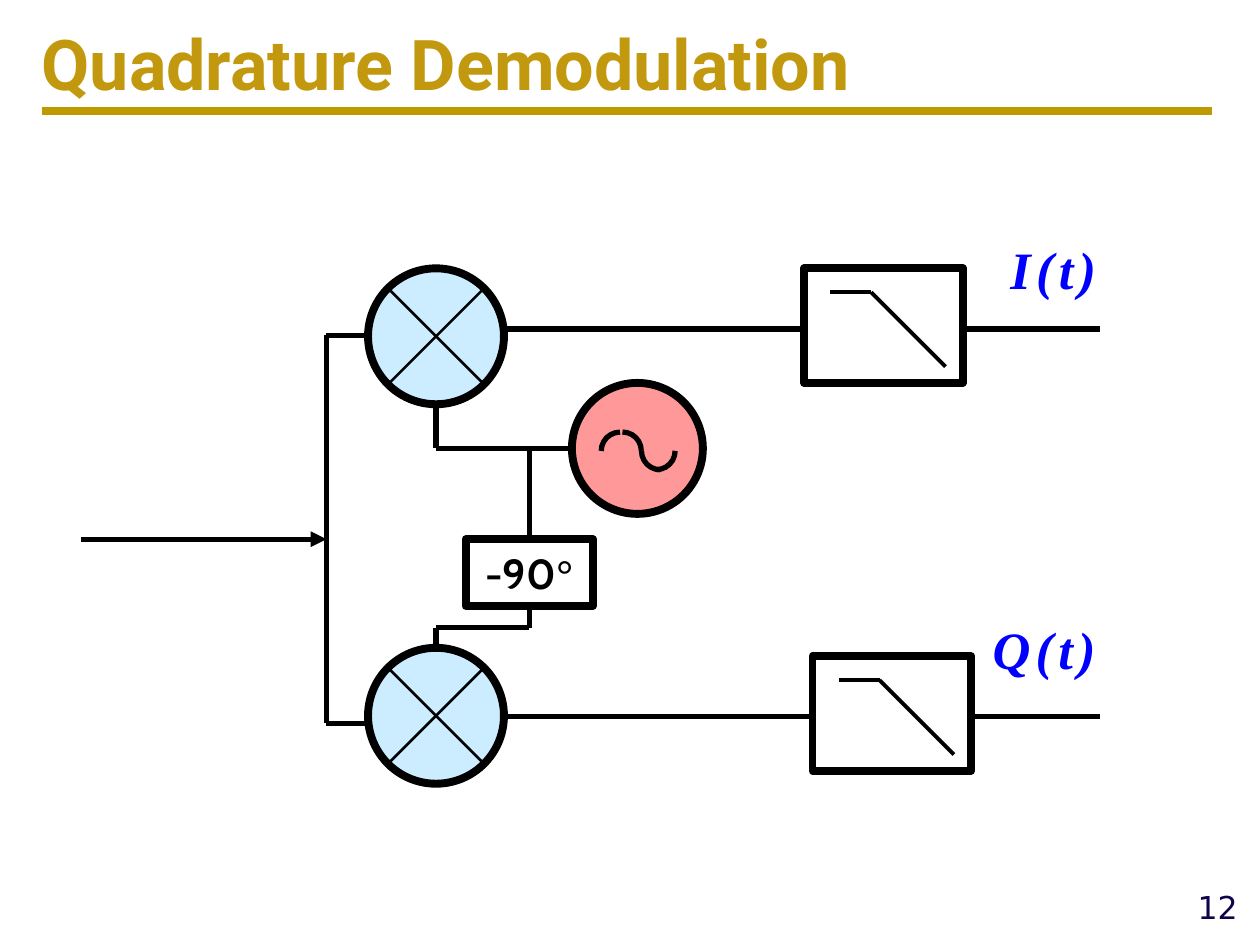
from typing import NamedTuple, Optional

from lxml.etree import SubElement
from pptx import Presentation
from pptx.dml.color import RGBColor
from pptx.enum.shapes import MSO_CONNECTOR, MSO_SHAPE
from pptx.enum.text import MSO_ANCHOR, PP_ALIGN
from pptx.oxml.ns import qn
from pptx.util import Cm, Pt

BLACK = RGBColor(0x00, 0x00, 0x00)
WHITE = RGBColor(0xFF, 0xFF, 0xFF)
GOLD = RGBColor(0xBF, 0x99, 0x00)
OCHRE = RGBColor(0xC2, 0x99, 0x0E)
NAVY = RGBColor(0x10, 0x03, 0x4C)
BLUE = RGBColor(0x00, 0x00, 0xFF)
SKY = RGBColor(0xCC, 0xEC, 0xFF)
PINK = RGBColor(0xFF, 0x99, 0x99)

THICK, WIRE, THIN, CROSS = 4.5, 3, 2.25, 1.5


class Spot(NamedTuple):
    left: float
    top: float


class Box(NamedTuple):
    left: float
    top: float
    width: float
    height: float


class Wire(NamedTuple):
    x1: float
    y1: float
    x2: float
    y2: float


class Label(NamedTuple):
    text: str
    box: Box
    size: float
    font: str
    color: RGBColor
    bold: bool = False
    italic: bool = False
    wrap: bool = True
    track: int = 0  # hundredths of a point
    align: PP_ALIGN = PP_ALIGN.LEFT


class Arc(NamedTuple):
    left: float
    turn: int


MIXERS = [Spot(7.42, 5.41), Spot(7.42, 13.06)]
FILTERS = [Spot(16.21, 5.41), Spot(16.38, 13.23)]
ARCS = [Arc(12.17, 0), Arc(12.12, 270), Arc(12.93, 180), Arc(12.85, 90)]

# Rows and columns that the wires share
TOP, LOW = 6.63, 14.45
SPLIT, STEM, TAP = 6.58, 8.79, 10.67
LO, BEND, END = 9.04, 12.65, 22.17
PHASE = Box(9.39, 10.87, 2.56, 1.35)

WIRES = [
    Wire(SPLIT, 6.76, 7.39, 6.76),
    Wire(SPLIT, 14.58, 7.39, 14.58),
    Wire(SPLIT, 6.76, SPLIT, 14.58),
    Wire(10.16, TOP, 16.21, TOP),
    Wire(10.16, LOW, 16.38, LOW),
    Wire(19.41, TOP, END, TOP),
    Wire(19.58, LOW, END, LOW),
    Wire(STEM, 8.15, STEM, LO),
    Wire(STEM, LO, 11.53, LO),
    Wire(STEM, BEND, STEM, 13.06),
    Wire(STEM, BEND, TAP, BEND),
]

LABELS = [
    Label("12", Box(21.59, 17.78, 3.61, 1.02), 18, "DejaVu Sans", NAVY,
          align=PP_ALIGN.RIGHT),
    Label("I(t)", Box(20.12, 4.65, 2.36, 1.55), 30, "Times New Roman", BLUE,
          bold=True, italic=True, wrap=False, track=300),
    Label("Q(t)", Box(19.76, 12.32, 2.72, 1.55), 30, "Times New Roman", BLUE,
          bold=True, italic=True, wrap=False, track=300),
]
TITLE = Label("Quadrature Demodulation", Box(0.84, 0, 20.7, 2.54), 40,
              "Roboto", OCHRE, bold=True)


def draw_wire(shapes, wire: Wire, weight: float = WIRE,
              color: RGBColor = BLACK):
    line = shapes.add_connector(MSO_CONNECTOR.STRAIGHT,
                                *(Cm(value) for value in wire))
    line.line.color.rgb = color
    line.line.width = Pt(weight)
    SubElement(line._element.spPr, qn("a:effectLst"))
    return line


def draw_shape(shapes, kind: MSO_SHAPE, box: Box, fill: Optional[RGBColor],
               weight: float = THICK):
    shape = shapes.add_shape(kind, *(Cm(value) for value in box))
    shape.shadow.inherit = False
    if fill is None:
        shape.fill.background()
    else:
        shape.fill.solid()
        shape.fill.fore_color.rgb = fill
    shape.line.color.rgb = BLACK
    shape.line.width = Pt(weight)
    return shape


def draw_label(shapes, label: Label):
    box = shapes.add_textbox(*(Cm(value) for value in label.box))
    frame = box.text_frame
    frame.word_wrap = label.wrap
    frame.text = label.text
    para = frame.paragraphs[0]
    para.alignment = label.align
    run = para.runs[0]
    style(run, label.size, label.font, label.color, label.bold)
    run.font.italic = label.italic
    if label.track:
        run.font._element.set("spc", str(label.track))
    return box


def style(run, size: float, name: str, color: RGBColor, bold: bool) -> None:
    run.font.size = Pt(size)
    run.font.name = name
    run.font.color.rgb = color
    run.font.bold = bold


def draw_mixer(shapes, spot: Spot) -> None:
    """Draw a circle with a cross inside it."""
    size, inset = 2.74, 0.39
    group = shapes.add_group_shape().shapes
    draw_shape(group, MSO_SHAPE.OVAL, Box(*spot, size, size), SKY)
    left, top = spot.left + inset, spot.top + inset
    right, base = spot.left + size - inset, spot.top + size - inset
    draw_wire(group, Wire(right, top, left, base), CROSS)
    draw_wire(group, Wire(left, top, right, base), CROSS)


def draw_filter(shapes, spot: Spot) -> None:
    """Draw a box with a low-pass curve inside it."""
    group = shapes.add_group_shape().shapes
    draw_shape(group, MSO_SHAPE.RECTANGLE, Box(*spot, 3.2, 2.31), WHITE)
    knee, level = spot.left + 1.35, spot.top + 0.48
    draw_wire(group, Wire(spot.left + 0.53, level, knee, level), THIN)
    draw_wire(group, Wire(knee, level, knee + 1.5, level + 1.5), THIN)


def draw_source(shapes) -> None:
    """Draw the oscillator: a circle with a sine made of quarter arcs."""
    group = shapes.add_group_shape().shapes
    draw_shape(group, MSO_SHAPE.OVAL, Box(11.53, 7.72, 2.64, 2.64), PINK)
    for arc in ARCS:
        part = draw_shape(group, MSO_SHAPE.ARC,
                          Box(arc.left, 8.71, 0.76, 0.76), None, WIRE)
        part.rotation = arc.turn


def draw_phase(shapes) -> None:
    """Draw the phase shifter with the wires joined to it."""
    box = draw_shape(shapes, MSO_SHAPE.RECTANGLE, PHASE, WHITE)
    frame = box.text_frame
    frame.vertical_anchor = MSO_ANCHOR.MIDDLE
    frame.text = "-90"
    para = frame.paragraphs[0]
    para.alignment = PP_ALIGN.CENTER
    sign = para.add_run()
    sign.text = "°"
    for run, name in zip(para.runs, ("Cabin", "Times New Roman")):
        style(run, 24, name, BLACK, True)
    inlet = draw_wire(shapes, Wire(TAP, LO, TAP, PHASE.top))
    inlet.end_connect(box, 0)
    base = PHASE.top + PHASE.height
    outlet = draw_wire(shapes, Wire(TAP, base, TAP, BEND))
    outlet.begin_connect(box, 2)


def main() -> None:
    deck = Presentation()
    deck.slide_width, deck.slide_height = Cm(25.4), Cm(19.05)
    shapes = deck.slides.add_slide(deck.slide_layouts[6]).shapes

    draw_wire(shapes, Wire(0.84, 2.24, 24.43, 2.24), THICK, GOLD)
    title = draw_label(shapes, TITLE).text_frame
    title.margin_left = 0
    title.vertical_anchor = MSO_ANCHOR.MIDDLE

    for wire in WIRES:
        draw_wire(shapes, wire)
    feed = draw_wire(shapes, Wire(1.63, PHASE.top, SPLIT, PHASE.top))
    SubElement(feed.line._get_or_add_ln(), qn("a:tailEnd"), type="triangle")
    for spot in MIXERS:
        draw_mixer(shapes, spot)
    for spot in FILTERS:
        draw_filter(shapes, spot)
    draw_source(shapes)
    draw_phase(shapes)
    for label in LABELS:
        draw_label(shapes, label)
    deck.save("out.pptx")


if __name__ == "__main__":
    main()
